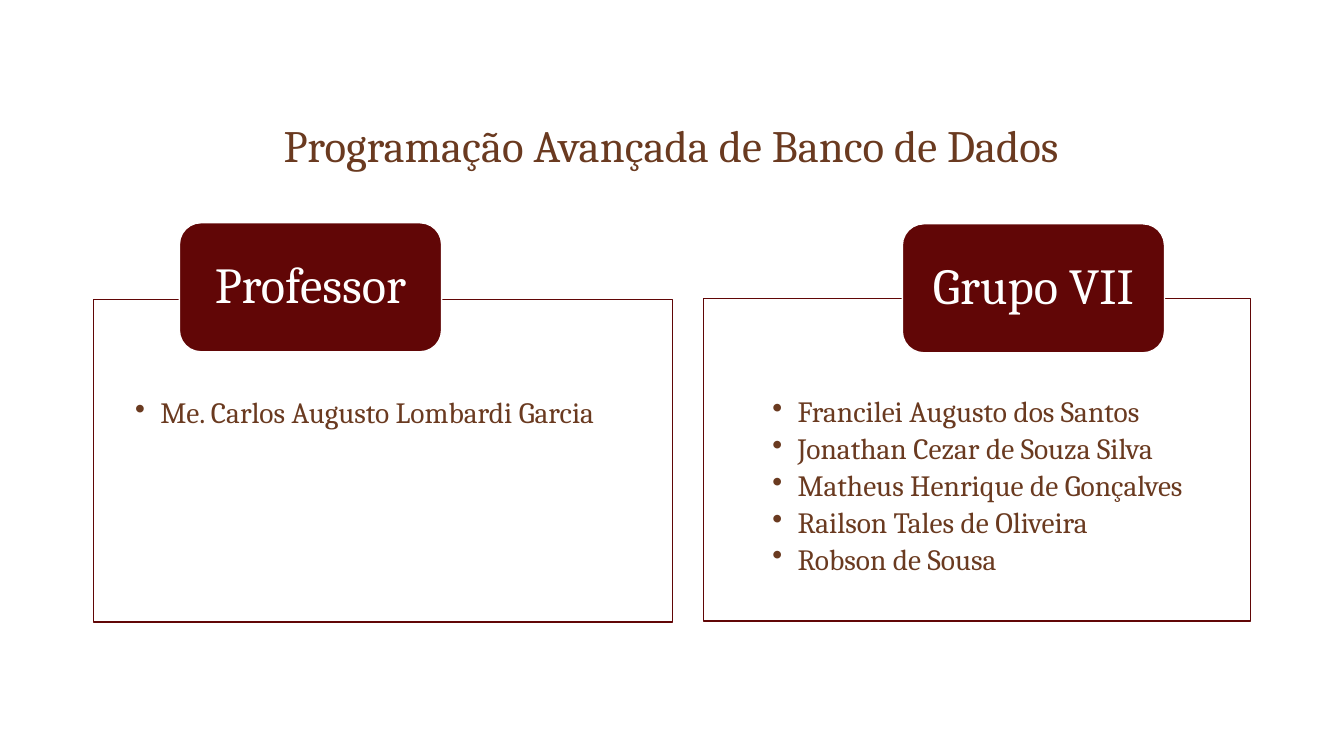
import dataclasses

import pptx
import pptx.dml.color
import pptx.enum.shapes
import pptx.enum.text
import pptx.oxml
import pptx.oxml.ns
import pptx.util

Inches = pptx.util.Inches
Pt = pptx.util.Pt
Shape = pptx.enum.shapes.MSO_SHAPE
Align = pptx.enum.text.PP_ALIGN
Anchor = pptx.enum.text.MSO_ANCHOR


@dataclasses.dataclass(frozen=True)
class Theme:
    """Hold the colours, font and type sizes."""
    font: str = "Cambria"
    wine: str = "610606"
    brown: str = "6A3A20"
    white: str = "FFFFFF"
    title: int = 32
    label: int = 36
    body: int = 21


THEME = Theme()


def color(code):
    """Turn a hex code into a colour."""
    return pptx.dml.color.RGBColor.from_string(code)


def add_run(para, text, size, code):
    """Add a styled run to a paragraph."""
    run = para.add_run()
    run.text = text
    run.font.name = THEME.font
    run.font.size = Pt(size)
    run.font.color.rgb = color(code)


def set_frame(shape, anchor, pads):
    """Set wrapping, anchor and insets, and return the text frame."""
    frame = shape.text_frame
    frame.word_wrap = True
    frame.vertical_anchor = anchor
    (frame.margin_left, frame.margin_top,
     frame.margin_right, frame.margin_bottom) = map(Inches, pads)
    return frame


def add_box(slide, kind, spot, fill, line):
    """Add a filled and outlined shape."""
    box = slide.shapes.add_shape(kind, *map(Inches, spot))
    box.shadow.inherit = False
    box.fill.solid()
    box.fill.fore_color.rgb = color(fill)
    box.line.color.rgb = color(line)
    box.line.width = Pt(1)
    return box


def add_title(slide, text):
    """Add the centred slide title."""
    box = slide.shapes.add_textbox(
        Inches(1.33), Inches(0.47), Inches(10.66), Inches(1.28))
    para = set_frame(box, Anchor.BOTTOM, (0.1, 0.05, 0.1, 0.05)).paragraphs[0]
    para.alignment = Align.CENTER
    add_run(para, text, THEME.title, THEME.brown)


def set_bullet(para):
    """Give a paragraph a hanging round bullet."""
    props = para._p.get_or_add_pPr()
    props.set("marL", str(Inches(0.25)))
    props.set("indent", str(-Inches(0.25)))
    mark = pptx.oxml.parse_xml(
        f'<a:buChar {pptx.oxml.ns.nsdecls("a")} char="•"/>')
    props.append(mark)


def add_panel(slide, spot, pad, names):
    """Add an outlined panel with a bulleted list of names."""
    box = add_box(slide, Shape.RECTANGLE, spot, THEME.white, THEME.wine)
    tint = box.fill._xPr.find(".//" + pptx.oxml.ns.qn("a:srgbClr"))
    tint.append(pptx.oxml.parse_xml(
        f'<a:alpha {pptx.oxml.ns.nsdecls("a")} val="90000"/>'))
    frame = set_frame(box, Anchor.TOP, (pad, 0.98, 0.41, 0.16))
    for i, name in enumerate(names):
        para = frame.add_paragraph() if i else frame.paragraphs[0]
        para.alignment = Align.LEFT
        para.line_spacing = 0.9
        para.space_after = Pt(3.7)
        set_bullet(para)
        add_run(para, name, THEME.body, THEME.brown)


def add_label(slide, left, top, text):
    """Add a rounded heading that overlaps a panel."""
    box = add_box(slide, Shape.ROUNDED_RECTANGLE, (left, top, 2.6, 1.28),
                  THEME.wine, THEME.white)
    para = set_frame(box, Anchor.MIDDLE, (0.14, 0, 0.14, 0)).paragraphs[0]
    para.alignment = Align.CENTER
    para.line_spacing = 0.9
    add_run(para, text, THEME.label, THEME.white)


def main():
    """Build and save the slide."""
    deck = pptx.Presentation()
    deck.slide_width = Inches(13.33)
    deck.slide_height = Inches(7.5)
    slide = deck.slides.add_slide(deck.slide_layouts[6])
    add_title(slide, "Programação Avançada de Banco de Dados")
    add_panel(slide, (0.93, 2.97, 5.74, 3.2), 0.41,
              ["Me. Carlos Augusto Lombardi Garcia"])
    add_label(slide, 1.78, 2.21, "Professor")
    add_panel(slide, (6.98, 2.96, 5.42, 3.2), 0.68, [
        "Francilei Augusto dos Santos",
        "Jonathan Cezar de Souza Silva",
        "Matheus Henrique de Gonçalves",
        "Railson Tales de Oliveira",
        "Robson de Sousa",
    ])
    add_label(slide, 8.95, 2.22, "Grupo VII")
    deck.save("out.pptx")


if __name__ == "__main__":
    main()
